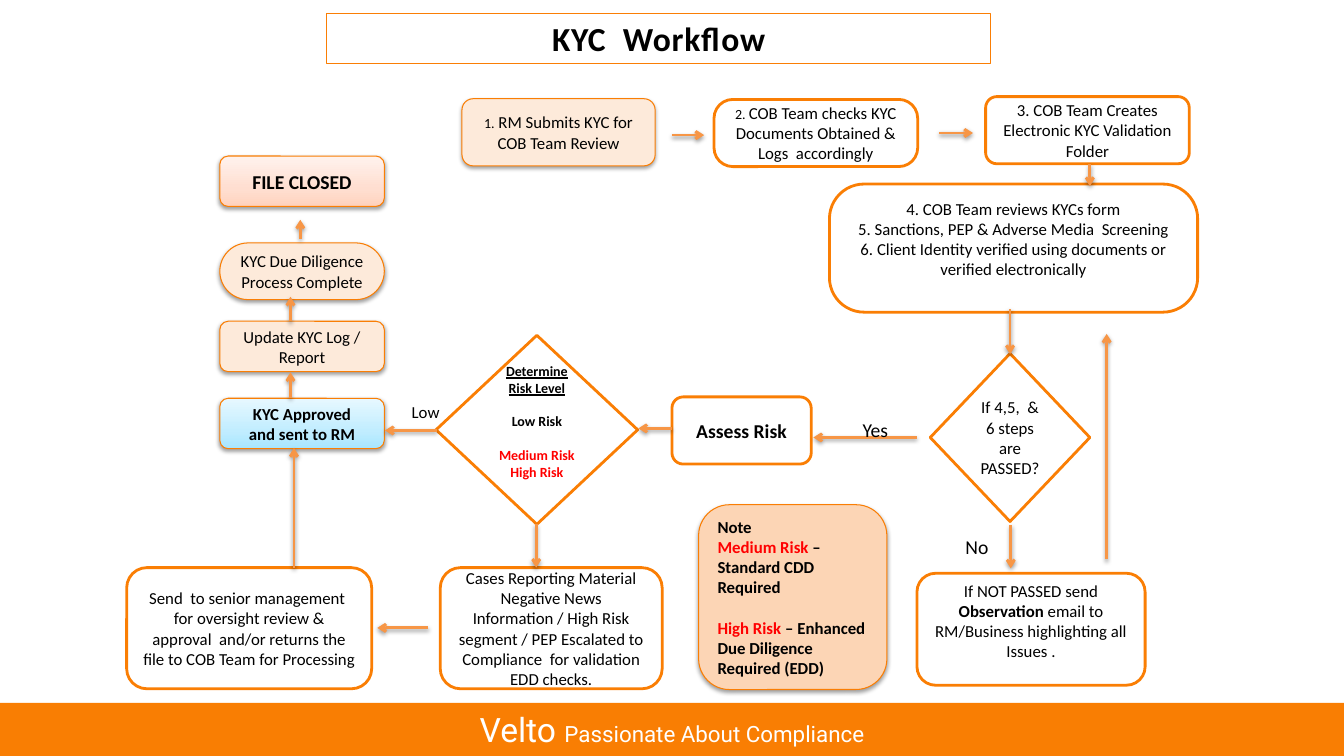
from copy import deepcopy

from pptx import Presentation
from pptx.dml.color import RGBColor
from pptx.enum.shapes import MSO_CONNECTOR, MSO_SHAPE
from pptx.enum.text import MSO_ANCHOR, MSO_AUTO_SIZE, PP_ALIGN
from pptx.oxml import parse_xml
from pptx.oxml.ns import nsdecls, qn
from pptx.util import Pt

ORANGE = RGBColor(0xFA, 0x7E, 0x04)
FOOTER_ORANGE = RGBColor(0xF9, 0x7E, 0x03)
ARROW_ORANGE = RGBColor(0xF7, 0x96, 0x46)
PEACH = RGBColor(0xFD, 0xEA, 0xDA)
NOTE_PEACH = RGBColor(0xFC, 0xD5, 0xB5)
WHITE = RGBColor(0xFF, 0xFF, 0xFF)
BLACK = RGBColor(0x00, 0x00, 0x00)
RED = RGBColor(0xFF, 0x00, 0x00)
BLUES = [RGBColor(0xA7, 0xE6, 0xFF), RGBColor(0xC1, 0xED, 0xFF), RGBColor(0xE7, 0xF8, 0xFF)]
PINKS = [RGBColor(0xFF, 0xD2, 0xBD), RGBColor(0xFF, 0xDE, 0xD0), RGBColor(0xFF, 0xF2, 0xED)]

# ---- Content: a paragraph is a list of spans (text, format) ----
SMALL, BOLD = {"size": 10}, {"bold": True}
BIG_BOLD = {"size": 14, "bold": True}
RISK = {"size": 10, "bold": True}
RED_RISK = {**RISK, "color": RED}
RED_BOLD = {"bold": True, "color": RED}

TITLE = "KYC  Workflow"
FOOTER = [[("Velto ", {"size": 24, "font": "Roboto", "color": WHITE}),
           ("Passionate About Compliance", {"size": 16, "font": "Roboto", "color": WHITE})]]

COLUMN_LEFT, COLUMN_WIDTH = 157, 117.5
ROUND, DIAMOND = MSO_SHAPE.ROUNDED_RECTANGLE, MSO_SHAPE.DIAMOND

# Outlined steps: shape, (left, top, width, height), corner, room below text, paragraphs
OUTLINED_STEPS = [
    (ROUND, (510, 71, 145.5, 48), 0.28, 0,
     [[("2. ", SMALL), ("COB Team checks KYC Documents Obtained & Logs  accordingly", {})]]),
    (ROUND, (704, 69, 145.5, 48), None, 0,
     [[("3. COB Team Creates Electronic KYC Validation Folder", {})]]),
    (ROUND, (592.5, 131.5, 263, 91.5), 0.27, 13,
     [[("4. COB Team reviews KYCs form", {})],
      [("5. Sanctions, PEP & Adverse Media  Screening", {})],
      [("6. Client Identity verified using documents or verified electronically", {})]]),
    (DIAMOND, (664.5, 252.5, 114, 120), None, 0,
     [[("If 4,5,  & 6 steps are PASSED?", {})]]),
    (ROUND, (480, 283.5, 99.5, 48), None, 0, [[("Assess Risk", BIG_BOLD)]]),
    (DIAMOND, (311.5, 239.5, 144, 135), None, 12,
     [[("Determine Risk Level", {**RISK, "underline": True})],
      [("Low Risk", {**RISK, "gap": 12})],
      [("Medium Risk", {**RED_RISK, "gap": 12})],
      [("High Risk", RED_RISK)]]),
    (ROUND, (314.5, 405.5, 158.5, 86.5), None, 0,
     [[("Cases Reporting Material Negative News Information / High Risk segment / "
        "PEP Escalated to Compliance  for validation EDD checks.", {})]]),
    (ROUND, (90.5, 405.5, 175, 86.5), None, 0,
     [[("Send  to senior management  for oversight review & approval  and/or "
        "returns the file to COB Team for Processing", {})]]),
    (ROUND, (655, 409.5, 163, 80), None, 12,
     [[("If NOT PASSED send ", {}), ("Observation", BOLD),
       (" email to RM/Business highlighting all Issues .", {})]]),
]

# Shadowed steps: (left, top, width, height), corner, fill, alignment, paragraphs
SHADOWED_STEPS = [
    ((330, 70.5, 138, 48), None, PEACH, PP_ALIGN.CENTER,
     [[("1.", SMALL), (" RM Submits KYC for COB Team Review", {})]]),
    ((COLUMN_LEFT, 111.5, COLUMN_WIDTH, 36), None, PINKS, PP_ALIGN.CENTER,
     [[("FILE CLOSED", BIG_BOLD)]]),
    ((COLUMN_LEFT, 173.5, COLUMN_WIDTH, 40.5), 0.5, PEACH, PP_ALIGN.CENTER,
     [[("KYC Due Diligence Process Complete", {})]]),
    ((COLUMN_LEFT, 229.5, COLUMN_WIDTH, 36), None, PEACH, PP_ALIGN.CENTER,
     [[("Update KYC Log / Report", {})]]),
    ((COLUMN_LEFT, 284.5, COLUMN_WIDTH, 36), None, BLUES, PP_ALIGN.CENTER,
     [[("KYC Approved", BOLD)], [("and sent to RM", BOLD)]]),
    ((499, 360.5, 134.5, 132), None, NOTE_PEACH, PP_ALIGN.LEFT,
     [[("Note", BOLD)],
      [("Medium Risk ", RED_BOLD), ("– Standard CDD Required", BOLD)],
      [("High Risk ", {**RED_BOLD, "gap": 14.5}),
       ("– Enhanced Due Diligence Required (EDD)", BOLD)]]),
]

# Arrows: across are (y, from x, to x), upright are (x, from y, to y)
ARROWS_ACROSS = [(96.5, 480, 503), (95, 671, 695), (312.5, 655, 581), (306, 480, 456),
                 (307.5, 312, 275), (448.5, 306, 269.5)]
ARROWS_UPRIGHT = [(778.5, 117.5, 133), (721.5, 221, 253), (722, 375, 406), (790.5, 399.5, 238.5),
                  (383, 374, 405.5), (210, 405.5, 320), (207.5, 284, 266), (207.5, 229.5, 212),
                  (214.5, 170.5, 157)]

LABELS = [("Yes", 14, (609, 294.5, 49, 24.5)), ("No", 14, (682.5, 378, 32, 24.5)),
          ("Low", 12, (287, 283.5, 49, 21.5))]


# ---- Drawing helpers ----
def points(values):
    return [Pt(value) for value in values]


def write(frame, paragraphs, align=PP_ALIGN.CENTER):
    frame.word_wrap = True
    frame.vertical_anchor = MSO_ANCHOR.MIDDLE
    for index, spans in enumerate(paragraphs):
        para = frame.add_paragraph() if index else frame.paragraphs[0]
        para.alignment = align
        for text, style in spans:
            span = para.add_run()
            span.text = text
            span.font.name = style.get("font", "Calibri")
            span.font.size = Pt(style.get("size", 12))
            span.font.bold = style.get("bold", False)
            span.font.underline = style.get("underline", False)
            span.font.color.rgb = style.get("color", BLACK)
            if "gap" in style:
                para.space_before = Pt(style["gap"])


def add_shadow(effects):
    effects.append(parse_xml(
        f'<a:outerShdw {nsdecls("a")} blurRad="{Pt(3.1)}" dist="{Pt(1.6)}" dir="5400000" '
        'rotWithShape="0"><a:srgbClr val="000000"><a:alpha val="38000"/></a:srgbClr></a:outerShdw>'))


def paint(shape, fill):
    if not isinstance(fill, list):
        shape.fill.solid()
        shape.fill.fore_color.rgb = fill
        return
    shape.fill.gradient()
    shape.fill.gradient_angle = 90
    stops = shape._element.spPr.find(".//" + qn("a:gsLst"))
    stops.insert(1, deepcopy(stops[0]))
    for stop, position, color in zip(shape.fill.gradient_stops, (0, 0.35, 1), fill):
        stop.position = position
        stop.color.rgb = color


def add_step(page, kind, place, corner, fill, line_width):
    step = page.shapes.add_shape(kind, *points(place))
    if corner:
        step.adjustments[0] = corner
    paint(step, fill)
    step.line.color.rgb = ORANGE
    step.line.width = Pt(line_width)
    step.shadow.inherit = False
    return step


def add_arrow(page, *ends):
    arrow = page.shapes.add_connector(MSO_CONNECTOR.STRAIGHT, *points(ends))
    arrow.line.color.rgb = ARROW_ORANGE
    arrow.line.width = Pt(2)
    properties = arrow._element.spPr
    properties.find(qn("a:ln")).append(parse_xml(f'<a:tailEnd {nsdecls("a")} type="arrow"/>'))
    effects = parse_xml(f'<a:effectLst {nsdecls("a")}/>')
    add_shadow(effects)
    properties.append(effects)


# ---- Slide ----
deck = Presentation()
deck.slide_width, deck.slide_height = Pt(960), Pt(540)
page = deck.slides.add_slide(deck.slide_layouts[5])

# Title
title = page.shapes.title
title.left, title.top, title.width, title.height = points((233.5, 9.5, 474, 36))
title.line.color.rgb = ORANGE
title.line.width = Pt(0.75)
write(title.text_frame, [[(TITLE, {"size": 24, "bold": True})]])
title.text_frame.auto_size = MSO_AUTO_SIZE.NONE
title.text_frame.paragraphs[0].runs[0].font._element.set("spc", "50")

# Steps
for kind, place, corner, room_below, paragraphs in OUTLINED_STEPS:
    step = add_step(page, kind, place, corner, WHITE, 2)
    write(step.text_frame, paragraphs)
    step.text_frame.margin_bottom = Pt(3.6 + room_below)

for place, corner, fill, align, paragraphs in SHADOWED_STEPS:
    step = add_step(page, ROUND, place, corner, fill, 0.75)
    add_shadow(step._element.spPr.find(qn("a:effectLst")))
    write(step.text_frame, paragraphs, align)

# Arrows and their labels
for y, start, end in ARROWS_ACROSS:
    add_arrow(page, start, y, end, y)
for x, start, end in ARROWS_UPRIGHT:
    add_arrow(page, x, start, x, end)
for text, size, place in LABELS:
    label = page.shapes.add_textbox(*points(place))
    write(label.text_frame, [[(text, {"size": size})]], PP_ALIGN.LEFT)

# Footer band
footer = page.shapes.add_shape(MSO_SHAPE.RECTANGLE, *points((0, 502, 960, 38)))
paint(footer, FOOTER_ORANGE)
footer.line.fill.background()
footer.shadow.inherit = False
write(footer.text_frame, FOOTER)

deck.save("out.pptx")
